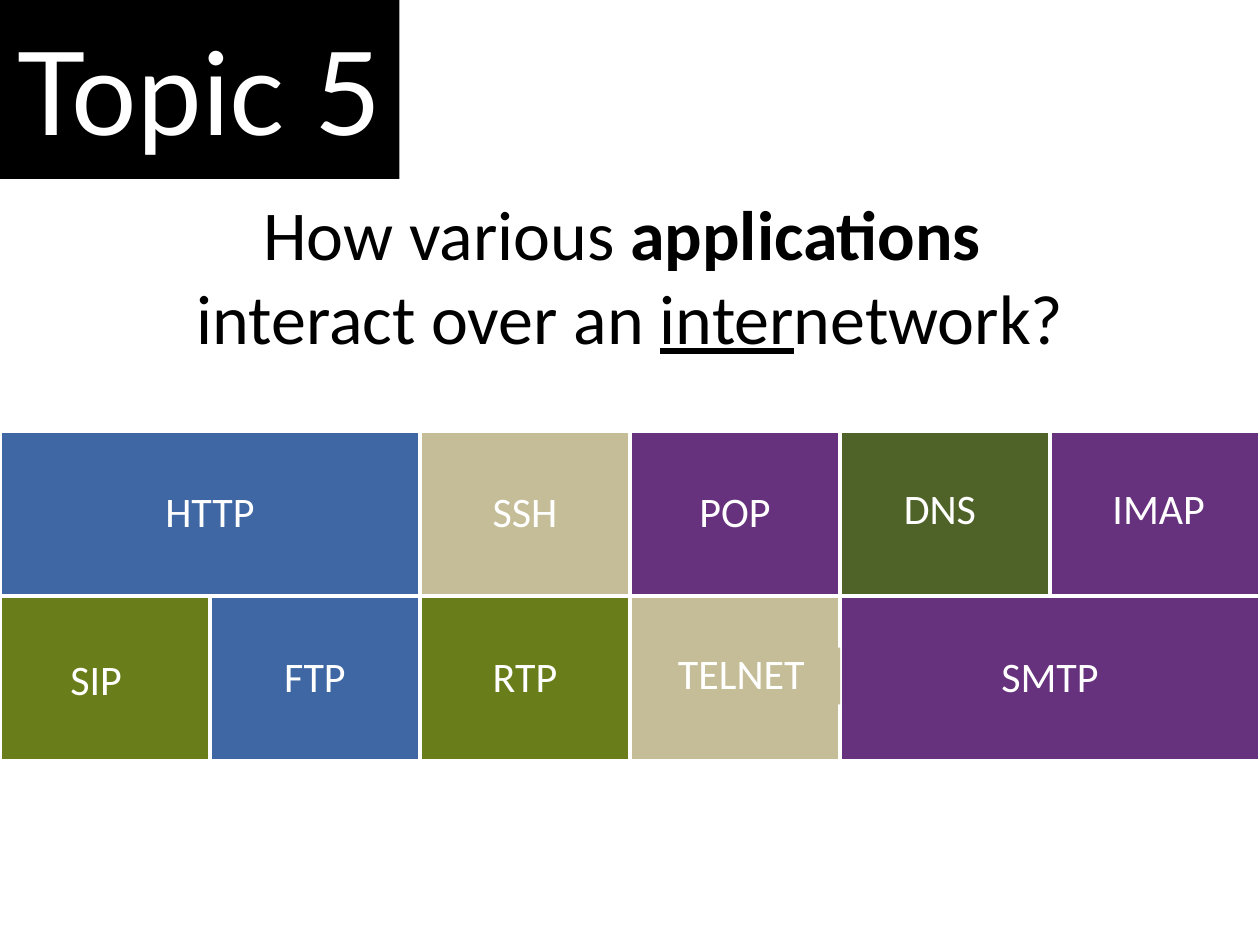
from pptx import Presentation
from pptx.dml.color import RGBColor
from pptx.enum.shapes import MSO_SHAPE
from pptx.enum.text import MSO_ANCHOR, MSO_AUTO_SIZE, PP_ALIGN
from pptx.util import Inches, Pt

COLORS = {
    "black": "000000", "white": "FFFFFF",
    "web": "3E67A4", "terminal": "C4BD97", "mail": "66327E",
    "naming": "4F6228", "media": "697E1A",
}
TOPIC = "Topic 5"
# Each line holds (text, bold, underline) runs
QUESTION = [
    [("How various ", False, False), ("applications ", True, False)],
    [("interact over an ", False, False), ("inter", False, True),
     ("network?", False, False)],
]
# protocol, family, column, row, columns spanned,
# label width, label shift from tile centre, label drop from tile top, wraps
PROTOCOLS = [
    ("SSH", "terminal", 2, 0, 1, 0.74, 0, 0.43, False),
    ("POP", "mail", 3, 0, 1, 0.8, 0, 0.43, False),
    ("DNS", "naming", 4, 0, 1, 1.9, -0.04, 0.41, True),
    ("IMAP", "mail", 5, 0, 1, 1.56, 0.03, 0.41, True),
    ("HTTP", "web", 0, 0, 2, 1.01, 0, 0.43, False),
    ("SMTP", "mail", 4, 1, 2, 0.97, 0, 0.43, False),
    ("TELNET", "terminal", 3, 1, 1, 1.57, 0.05, 0.41, True),
    ("RTP", "media", 2, 1, 1, 0.73, 0, 0.43, False),
    ("FTP", "web", 1, 1, 1, 0.71, 0, 0.43, False),
    ("SIP", "media", 0, 1, 1, 1.47, -0.07, 0.46, True),
]
FILLED_LABELS = {"TELNET"}
SLIDE_W, SLIDE_H = 10, 7.5
GRID_TOP, ROW_H, COLUMN_W = 3.42, 1.31, SLIDE_W / 6
LABEL_H = 0.45


def color(name):
    return RGBColor.from_string(COLORS[name])


def add_block(shapes, left, top, width, height, fill, border=None):
    block = shapes.add_shape(MSO_SHAPE.RECTANGLE, Inches(left), Inches(top),
                             Inches(width), Inches(height))
    block.shadow.inherit = False
    block.fill.solid()
    block.fill.fore_color.rgb = color(fill)
    if border:
        block.line.color.rgb = color(border)
        block.line.width = Pt(2.25)
    else:
        block.line.fill.background()
    return block


def add_run(paragraph, text, size, ink, font="Calibri", bold=False, underline=False):
    paragraph.alignment = PP_ALIGN.CENTER
    run = paragraph.add_run()
    run.text = text
    run.font.name = font
    run.font.size = Pt(size)
    run.font.bold = bold
    run.font.underline = underline
    run.font.color.rgb = color(ink)


def add_protocol(slide, name, family, column, row, span, label_w, shift, drop, wraps):
    left, top = column * COLUMN_W, GRID_TOP + row * ROW_H
    width = span * COLUMN_W
    tile = slide.shapes.add_group_shape().shapes
    add_block(tile, left, top, width, ROW_H, family, "white")

    place = (left + (width - label_w) / 2 + shift, top + drop, label_w, LABEL_H)
    if name in FILLED_LABELS:
        label = add_block(tile, *place, family)
    else:
        label = tile.add_textbox(*map(Inches, place))
    frame = label.text_frame
    frame.word_wrap = wraps
    frame.auto_size = MSO_AUTO_SIZE.SHAPE_TO_FIT_TEXT
    frame.vertical_anchor = MSO_ANCHOR.MIDDLE
    frame.margin_left = frame.margin_right = Inches(0.09)
    frame.margin_top = frame.margin_bottom = Inches(0.04)
    paragraph = frame.paragraphs[0]
    paragraph.line_spacing = 0.9
    add_run(paragraph, name, 24, "white")


def main():
    deck = Presentation()
    deck.slide_width, deck.slide_height = Inches(SLIDE_W), Inches(SLIDE_H)
    slide = deck.slides.add_slide(deck.slide_layouts[6])

    question = slide.shapes.add_textbox(0, Inches(1.46), Inches(SLIDE_W),
                                        Inches(1.45)).text_frame
    question.word_wrap = True
    question.auto_size = MSO_AUTO_SIZE.SHAPE_TO_FIT_TEXT
    for index, line in enumerate(QUESTION):
        paragraph = question.add_paragraph() if index else question.paragraphs[0]
        for text, bold, underline in line:
            add_run(paragraph, text, 40, "black", bold=bold, underline=underline)

    for protocol in PROTOCOLS:
        add_protocol(slide, *protocol)

    topic = add_block(slide.shapes, 0, 0, 3.17, 1.42, "black").text_frame
    topic.vertical_anchor = MSO_ANCHOR.MIDDLE
    add_run(topic.paragraphs[0], TOPIC, 66, "white", font="Lato")

    deck.save("out.pptx")


if __name__ == "__main__":
    main()
